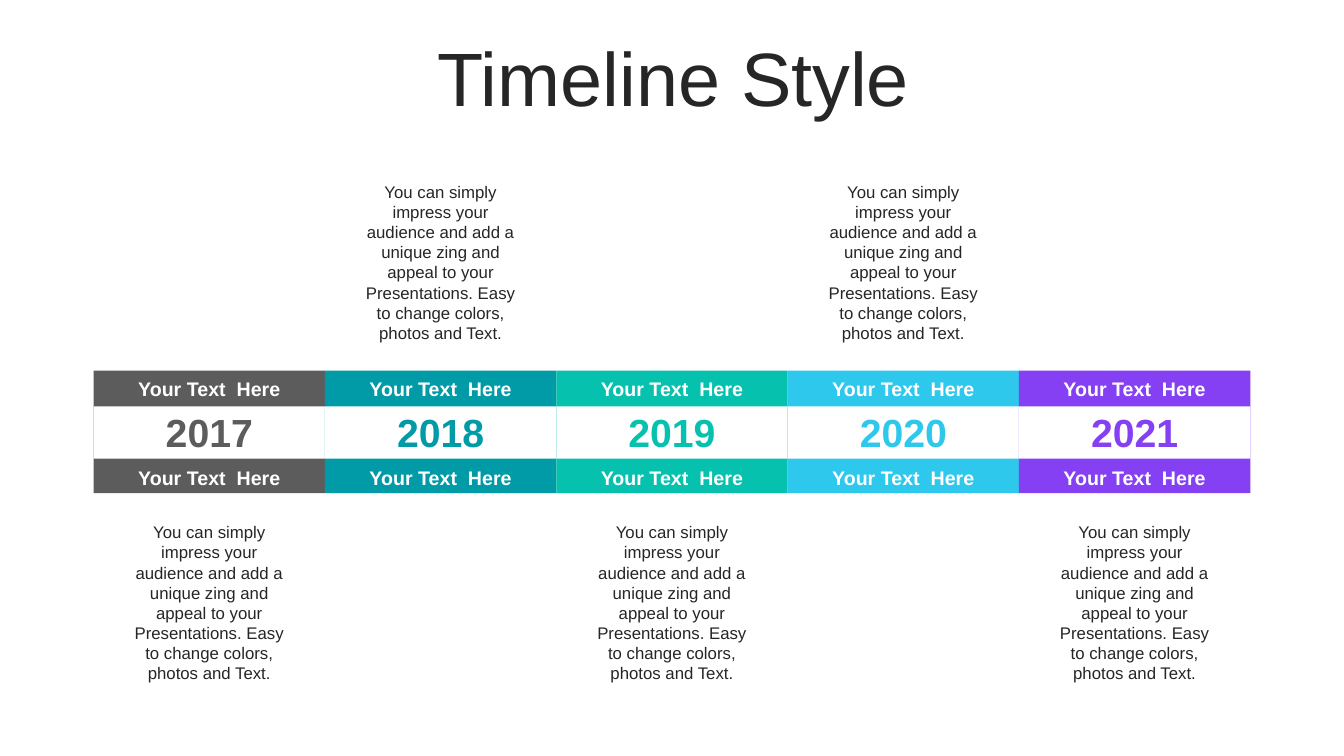
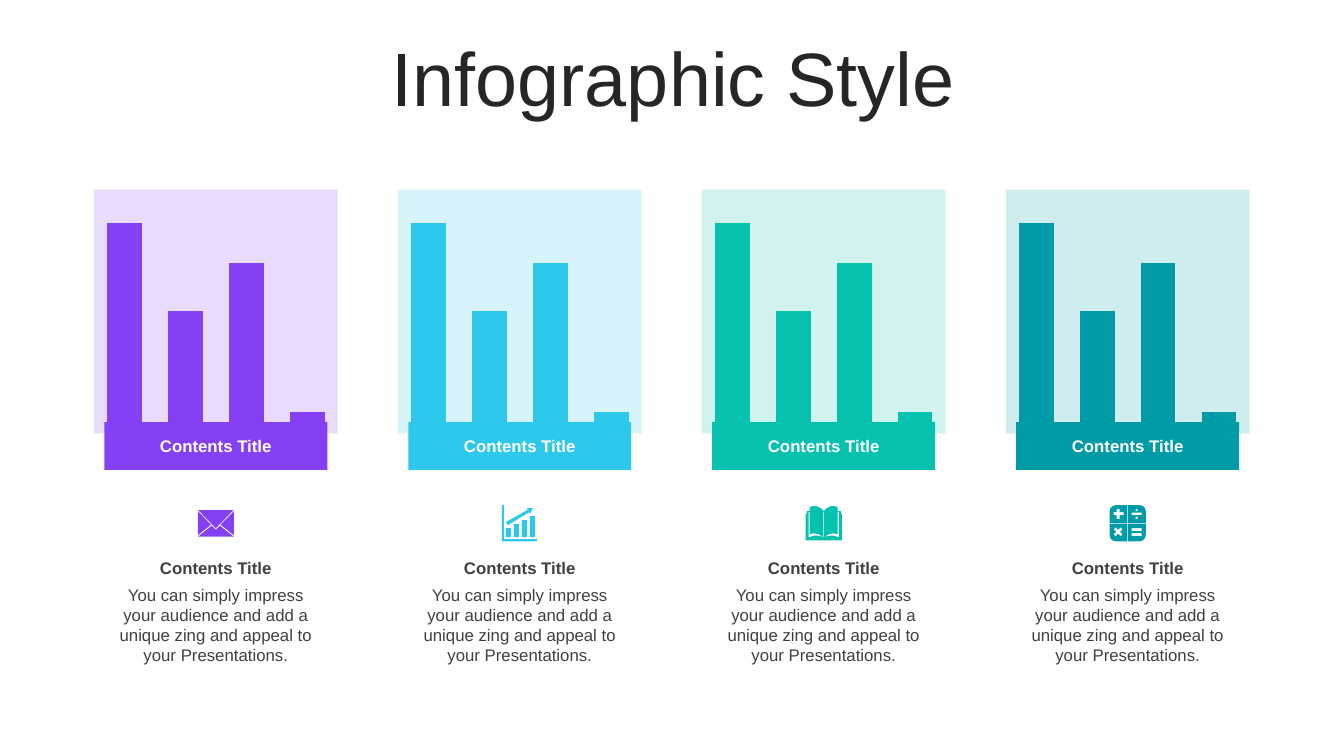
from dataclasses import dataclass

from pptx import Presentation
from pptx.chart import data as chart_data
from pptx.dml.color import RGBColor
from pptx.enum import chart as chart_enum, shapes, text
from pptx.oxml import parse_xml
from pptx.oxml.ns import nsdecls
from pptx.util import Cm, Pt


@dataclass(frozen=True)
class Theme:
    font: str = "Arial"
    ink: str = "262626"
    body: str = "404040"
    white: str = "FFFFFF"
    gray: str = "5C5C5C"
    teal: str = "019BA7"
    green: str = "07C1AF"
    sky: str = "2EC8ED"
    violet: str = "8540F4"
    title_size: int = 54
    year_size: int = 28
    label_size: int = 14
    text_size: int = 12
    tint: int = 19


THEME = Theme()

# Content
PITCH = ("You can simply impress your audience and add a unique zing "
         "and appeal to your Presentations.")
NOTE = PITCH + " Easy to change colors, photos and Text."
LABEL = "Your Text  Here"
HEADING = "Contents Title"
YEARS = [
    ("2017", THEME.gray),
    ("2018", THEME.teal),
    ("2019", THEME.green),
    ("2020", THEME.sky),
    ("2021", THEME.violet),
]
BAR_VALUES = {"1": 100, "2": 58, "3": 81, "4": 10}
CARDS = [
    ("mail", THEME.violet),
    ("growth", THEME.sky),
    ("book", THEME.green),
    ("calculator", THEME.teal),
]

# Icon outlines, drawn on a square grid
ICON_GRID = 36
ICON_SIZE = Cm(0.91)
STEPS = 10  # drawing steps per grid unit


def box(x, y, w, h):
    return [(x, y), (x + w, y), (x + w, y + h), (x, y + h)]


def mirror(points, across=True, down=False):
    return [(ICON_GRID - x if across else x, ICON_GRID - y if down else y)
            for x, y in points]


def mail_icon():
    side = [(0, 6), (13.3, 19.5), (0, 30)]
    return [
        [(22, 20.5), (36, 31.5), (0, 31.5), (14, 20.5), (18, 24.5)],
        side,
        mirror(side),
        [(0.5, 5), (35.5, 5), (18, 23)],
    ]


def growth_icon():
    bars = [box(4 + 8 * i, 23 - 4 * i, 5, 9 + 4 * i) for i in range(4)]
    arrow = [(25, 3), (31, 3), (28.5, 8.5), (27.5, 7), (6, 20), (4, 17), (26, 4.5)]
    axes = [(0, 0), (2, 0), (2, 34), (35, 34), (35, 36), (0, 36)]
    return bars + [arrow, axes]


def book_icon():
    half = [(0, 35), (0, 9), (1, 9), (1, 6), (4, 6), (4, 2), (7, 1),
            (11, 1), (15, 3), (18, 6)]
    page_edge = [(18, 32), (13, 29), (8, 28), (4, 29), (4, 7), (3, 7),
                 (3, 32), (8, 30.5), (13, 30.5)]
    seam = box(17.7, 7, 0.6, 25)
    return [half + mirror(half)[::-1], page_edge, mirror(page_edge), seam]


def calculator_icon():
    key = [(17.6, 17.6), (0, 17.6), (0, 6), (0.8, 3), (3, 0.8), (6, 0), (17.6, 0)]
    keys = [mirror(key, across, down)
            for across in (False, True) for down in (False, True)]
    plus = [(7, 4), (7, 7), (4, 7), (4, 10), (7, 10), (7, 14),
            (10, 14), (10, 10), (14, 10), (14, 7), (10, 7), (10, 4)]
    times = [(6, 22), (4, 24), (6.5, 26.5), (4, 29), (6, 31), (8.5, 28.5),
             (11, 31), (13, 29), (10.5, 26.5), (13, 24), (11, 22), (8.5, 24.5)]
    divide = [box(22, 7.5, 10, 2.5), box(26, 4, 2, 2), box(26, 11.5, 2, 2)]
    equals = [box(22, y, 10, 3) for y in (23, 28)]
    return keys + [plus, times] + divide + equals


ICONS = {
    "mail": mail_icon(),
    "growth": growth_icon(),
    "book": book_icon(),
    "calculator": calculator_icon(),
}


def paint(shape, color):
    shape.shadow.inherit = False
    shape.fill.solid()
    shape.fill.fore_color.rgb = RGBColor.from_string(color)
    shape.line.fill.background()


def add_band(slide, center, top, width, height, color):
    band = slide.shapes.add_shape(
        shapes.MSO_SHAPE.RECTANGLE, center - width // 2, top, width, height)
    paint(band, color)


def add_text(slide, center, top, width, height, words, size, color,
             bold=False, anchor=text.MSO_ANCHOR.TOP, spacing=1.0):
    """Add centred text in a frame whose middle is at center."""
    frame = slide.shapes.add_textbox(
        center - width // 2, top, width, height).text_frame
    frame.word_wrap = True
    frame.vertical_anchor = anchor
    paragraph = frame.paragraphs[0]
    paragraph.alignment = text.PP_ALIGN.CENTER
    paragraph.line_spacing = spacing
    run = paragraph.add_run()
    run.text = words
    style = {"name": THEME.font, "size": Pt(size), "bold": bold}
    for name, value in style.items():
        setattr(run.font, name, value)
    run.font.color.rgb = RGBColor.from_string(color)


def add_titled_slide(deck, title):
    slide = deck.slides.add_slide(deck.slide_layouts[6])
    add_text(slide, Cm(16.97), Cm(1.06), Cm(32.15), Cm(2), title,
             THEME.title_size, THEME.ink,
             anchor=text.MSO_ANCHOR.MIDDLE, spacing=0.9)
    return slide


def add_icon(slide, center, top, outlines, color):
    first, *others = [[(round(x * STEPS), round(y * STEPS)) for x, y in outline]
                      for outline in outlines]
    builder = slide.shapes.build_freeform(
        *first[0], scale=ICON_SIZE / (ICON_GRID * STEPS))
    builder.add_line_segments(first[1:], close=True)
    for outline in others:
        builder.move_to(*outline[0])
        builder.add_line_segments(outline[1:], close=True)
    paint(builder.convert_to_shape(center - ICON_SIZE // 2, top), color)


def add_bar_chart(slide, center, top, size, color):
    """Add a column chart without axes on a tint of its own colour."""
    bars = chart_data.CategoryChartData()
    bars.categories = list(BAR_VALUES)
    bars.add_series("Series 1", list(BAR_VALUES.values()))
    chart = slide.shapes.add_chart(
        chart_enum.XL_CHART_TYPE.COLUMN_CLUSTERED,
        center - size // 2, top, size, size, bars).chart
    chart.has_legend = chart.has_title = False
    chart.font.name, chart.font.size = THEME.font, Pt(18)
    for axis in (chart.category_axis, chart.value_axis):
        axis.visible = False
        axis.has_major_gridlines = False
    chart.value_axis.minimum_scale = 0
    chart.value_axis.maximum_scale = 116
    plot = chart.plots[0]
    plot.gap_width = 76
    plot.vary_by_categories = False
    fill = plot.series[0].format.fill
    fill.solid()
    fill.fore_color.rgb = RGBColor.from_string(color)
    chart.element.chart.plotArea.append(parse_xml(
        f'<c:spPr {nsdecls("c", "a")}><a:solidFill><a:srgbClr val="{color}">'
        f'<a:alpha val="{THEME.tint * 1000}"/></a:srgbClr></a:solidFill></c:spPr>'))


def build_timeline(deck):
    slide = add_titled_slide(deck, "Timeline Style")
    left, column, text_width = Cm(2.36), Cm(5.83), Cm(4.34)
    for i, (year, color) in enumerate(YEARS):
        center = left + column * i + column // 2
        add_band(slide, center, Cm(9.34), column, Cm(3.09), color)
        add_band(slide, center, Cm(10.24), column, Cm(1.32), THEME.white)
        add_text(slide, center, Cm(10.16), Cm(2.97), Cm(1.45), year,
                 THEME.year_size, color, bold=True)
        for label_top in (Cm(9.37), Cm(11.61)):
            add_text(slide, center, label_top, text_width, Cm(0.86), LABEL,
                     THEME.label_size, THEME.white, bold=True,
                     anchor=text.MSO_ANCHOR.MIDDLE)
        note_top = Cm(4.45) if i % 2 else Cm(13.03)
        add_text(slide, center, note_top, text_width, Cm(4.37), NOTE,
                 THEME.text_size, THEME.ink)


def build_infographic(deck):
    slide = add_titled_slide(deck, "Infographic Style")
    first_center, pitch, card_width = Cm(5.44), Cm(7.66), Cm(5.62)
    for i, (icon, color) in enumerate(CARDS):
        center = first_center + pitch * i
        add_bar_chart(slide, center, Cm(4.65), Cm(6.4), color)
        add_band(slide, center, Cm(10.64), card_width, Cm(1.2), color)
        add_text(slide, center, Cm(10.85), Cm(4.24), Cm(0.76), HEADING,
                 THEME.text_size, THEME.white, bold=True,
                 anchor=text.MSO_ANCHOR.MIDDLE)
        add_icon(slide, center, Cm(12.73), ICONS[icon], color)
        add_text(slide, center, Cm(13.92), card_width, Cm(0.76), HEADING,
                 THEME.text_size, THEME.body, bold=True)
        add_text(slide, center, Cm(14.61), card_width, Cm(2.31), PITCH,
                 THEME.text_size, THEME.body)


def main():
    deck = Presentation()
    deck.slide_width, deck.slide_height = Cm(33.87), Cm(19.05)
    build_timeline(deck)
    build_infographic(deck)
    deck.save("out.pptx")


if __name__ == "__main__":
    main()
